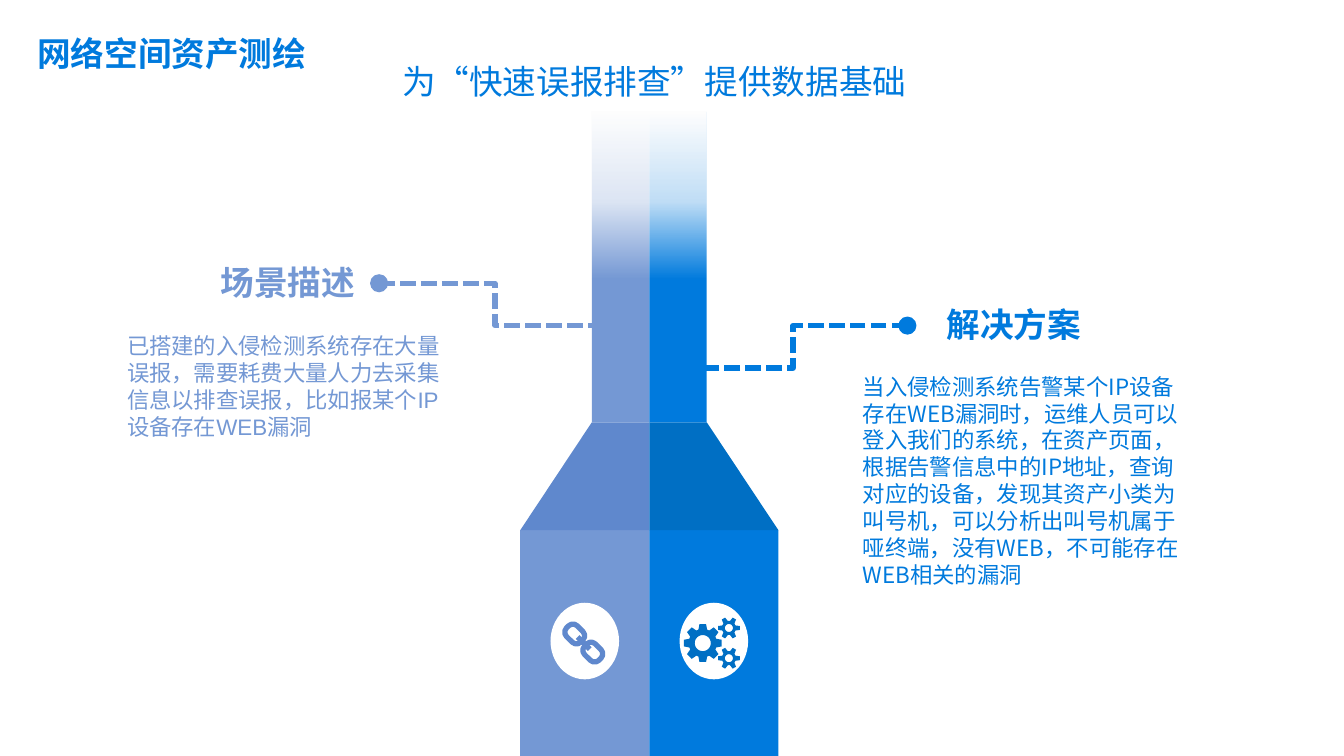
from math import cos, radians, sin

from lxml import etree
from pptx import Presentation
from pptx import util as u
from pptx.dml.color import RGBColor
from pptx.enum import dml, shapes, text
from pptx.oxml.ns import nsdecls, qn

BLUE, DEEP_BLUE = "007ADD", "006FC4"
SOFT, DEEP_SOFT = "7498D4", "5F88CD"
WHITE = "FFFFFF"
CJK = "Noto Sans CJK SC"
CENTER, SHOULDER, HIP, BOTTOM = 6.44, 4.19, 5.26, 7.5
NECK_TOP, NECK_WIDTH, BODY_WIDTH = 1.11, 0.57, 1.28
RECT, OVAL = shapes.MSO_SHAPE.RECTANGLE, shapes.MSO_SHAPE.OVAL
ROUNDED = shapes.MSO_SHAPE.ROUNDED_RECTANGLE


def rgb(hex_color):
    return RGBColor.from_string(hex_color)


def ring(cx, cy, polar):
    return [(cx + r * cos(radians(a)), cy + r * sin(radians(a))) for r, a in polar]


class Deck:
    """Holds the current slide and draws its styled elements."""

    def __init__(self):
        self.prs = Presentation()
        self.prs.slide_width, self.prs.slide_height = u.Inches(13.33), u.Inches(7.5)
        self.slide = self.prs.slides.add_slide(self.prs.slide_layouts[5])
        self.shapes = self.slide.shapes

    def fill_text(self, sp, words, size, color, font=CJK, bold=False, insets=(0.1, 0.05),
                  align=text.PP_ALIGN.LEFT, anchor=text.MSO_ANCHOR.TOP, wrap=True):
        tf = sp.text_frame
        tf.word_wrap, tf.vertical_anchor = wrap, anchor
        tf.auto_size = text.MSO_AUTO_SIZE.NONE
        tf.margin_left = tf.margin_right = u.Inches(insets[0])
        tf.margin_top = tf.margin_bottom = u.Inches(insets[1])
        p = tf.paragraphs[0]
        p.alignment = align
        r = p.add_run()
        r.text = words
        r.font.size, r.font.bold, r.font.name = u.Pt(size), bold, font
        r.font.color.rgb = rgb(color)
        etree.SubElement(r._r.get_or_add_rPr(), qn("a:ea")).set("typeface", CJK)

    def title(self, words, box, **style):
        sp = self.shapes.title
        sp.left, sp.top, sp.width, sp.height = map(u.Inches, box)
        self.fill_text(sp, words, 24, BLUE, bold=True, **style)

    def label(self, words, box, size, color, **style):
        self.fill_text(self.shapes.add_textbox(*map(u.Inches, box)), words, size, color, **style)

    def paint(self, sp, fill=None, line=None, width=3.75, dashed=False):
        sp.shadow.inherit = False
        if fill:
            sp.fill.solid()
            sp.fill.fore_color.rgb = rgb(fill)
        else:
            sp.fill.background()
        if line:
            sp.line.color.rgb, sp.line.width = rgb(line), u.Pt(width)
            if dashed:
                sp.line.dash_style = dml.MSO_LINE.SQUARE_DOT
        else:
            sp.line.fill.background()
        return sp

    def shape(self, kind, box, **style):
        return self.paint(self.shapes.add_shape(kind, *map(u.Inches, box)), **style)

    def dot(self, cx, cy, width, height, fill):
        self.shape(OVAL, (cx - width / 2, cy - height / 2, width, height), fill=fill)

    def outline(self, contours, close=True, **style):
        emu = [[(u.Inches(x), u.Inches(y)) for x, y in c] for c in contours]
        builder = self.shapes.build_freeform(*emu[0][0])
        for i, points in enumerate(emu):
            if i:
                builder.move_to(*points[0])
            builder.add_line_segments(points[1:], close=close)
        return self.paint(builder.convert_to_shape(), **style)

    def fade(self, box):
        sp = self.shape(RECT, box, fill=WHITE)
        stops = "".join(
            f'<a:gs pos="{pos * 1000}"><a:srgbClr val="{WHITE}">'
            f'<a:alpha val="{alpha * 1000}"/></a:srgbClr></a:gs>'
            for pos, alpha in ((0, 100), (54, 75), (100, 0)))
        grad = etree.fromstring(
            f'<a:gradFill {nsdecls("a")} rotWithShape="1"><a:gsLst>{stops}</a:gsLst>'
            '<a:lin ang="5400000" scaled="0"/></a:gradFill>')
        solid = sp._element.spPr.find(qn("a:solidFill"))
        solid.getparent().replace(solid, grad)

    def bottle_half(self, side, color, deep):
        def block(width, top, bottom):
            left = CENTER - width if side < 0 else CENTER
            self.shape(RECT, (left, top, width, bottom - top), fill=color)

        block(BODY_WIDTH, HIP, BOTTOM)
        hip, neck = CENTER + side * BODY_WIDTH, CENTER + side * NECK_WIDTH
        self.outline([[(CENTER, HIP), (hip, HIP), (neck, SHOULDER), (CENTER, SHOULDER)]],
                     fill=deep)
        block(NECK_WIDTH, NECK_TOP, SHOULDER)

    def callout(self, start, end, color):
        (x1, y1), (x2, y2) = start, end
        middle = (x1 + x2) / 2
        self.outline([[start, (middle, y1), (middle, y2), end]], close=False,
                     line=color, dashed=True)
        self.dot(x1, y1, 0.18, 0.18, color)

    def gear(self, cx, cy, teeth, tip, root, hole, spread):
        polar = [(r, 360 * i / teeth + a) for i in range(teeth)
                 for r, a in ((root, -spread), (tip, -10), (tip, 10), (root, spread))]
        inner = [(hole, a) for a in range(0, 360, 15)]
        self.outline([ring(cx, cy, polar), ring(cx, cy, inner)], fill=DEEP_BLUE)

    def chain(self, links, color):
        for cx, cy in links:
            sp = self.shape(ROUNDED, (cx - 0.1, cy - 0.075, 0.2, 0.15), line=color)
            sp.adjustments[0], sp.rotation = 0.4, 45
        (x1, y1), (x2, y2) = links
        ends = (x1 + 0.03, y1 + 0.03, x2 - 0.03, y2 - 0.03)
        bar = self.shapes.add_connector(shapes.MSO_CONNECTOR.STRAIGHT, *map(u.Inches, ends))
        bar.line.color.rgb, bar.line.width = rgb(color), u.Pt(3.75)
        etree.SubElement(bar._element.spPr, qn("a:effectLst"))


def main():
    deck = Deck()
    middle = text.MSO_ANCHOR.MIDDLE
    deck.title("网络空间资产测绘", (0.27, 0.28, 10.89, 0.5), anchor=middle)
    deck.label("为“快速误报排查”提供数据基础", (3.89, 0.56, 5.2, 0.5), 24, BLUE,
               font="Arial", wrap=False)

    deck.bottle_half(-1, SOFT, DEEP_SOFT)
    deck.bottle_half(1, BLUE, DEEP_BLUE)
    deck.fade((CENTER - NECK_WIDTH, NECK_TOP, 2 * NECK_WIDTH, 1.65))

    deck.callout((9.0, 3.23), (6.73, 3.65), BLUE)
    deck.label("当入侵检测系统告警某个IP设备存在WEB漏洞时，运维人员可以登入我们的系统，"
               "在资产页面，根据告警信息中的IP地址，查询对应的设备，发现其资产小类为叫号机，"
               "可以分析出叫号机属于哑终端，没有WEB，不可能存在WEB相关的漏洞",
               (8.46, 3.65, 3.36, 1.82), 16, BLUE)
    deck.label("解决方案", (9.29, 2.95, 3.36, 0.52), 24, BLUE, bold=True, anchor=middle)

    deck.callout((3.76, 2.81), (6.06, 3.23), SOFT)
    deck.label("场景描述", (0.26, 2.54, 3.36, 0.52), 24, SOFT, bold=True, anchor=middle,
               align=text.PP_ALIGN.RIGHT)
    deck.label("已搭建的入侵检测系统存在大量误报，需要耗费大量人力去采集信息以排查误报，"
               "比如报某个IP设备存在WEB漏洞",
               (1.19, 3.23, 3.36, 1.04), 16, SOFT, font="Arial", insets=(0.07, 0.07))

    for cx in (5.8, 7.08):
        deck.dot(cx, 6.36, 0.68, 0.76, WHITE)
    deck.chain([(5.7, 6.29), (5.88, 6.47)], DEEP_SOFT)
    deck.gear(6.97, 6.38, 8, tip=0.19, root=0.14, hole=0.08, spread=18)
    for cy in (6.23, 6.53):
        deck.gear(7.23, cy, 6, tip=0.11, root=0.07, hole=0.04, spread=21)

    deck.prs.save("out.pptx")


if __name__ == "__main__":
    main()
